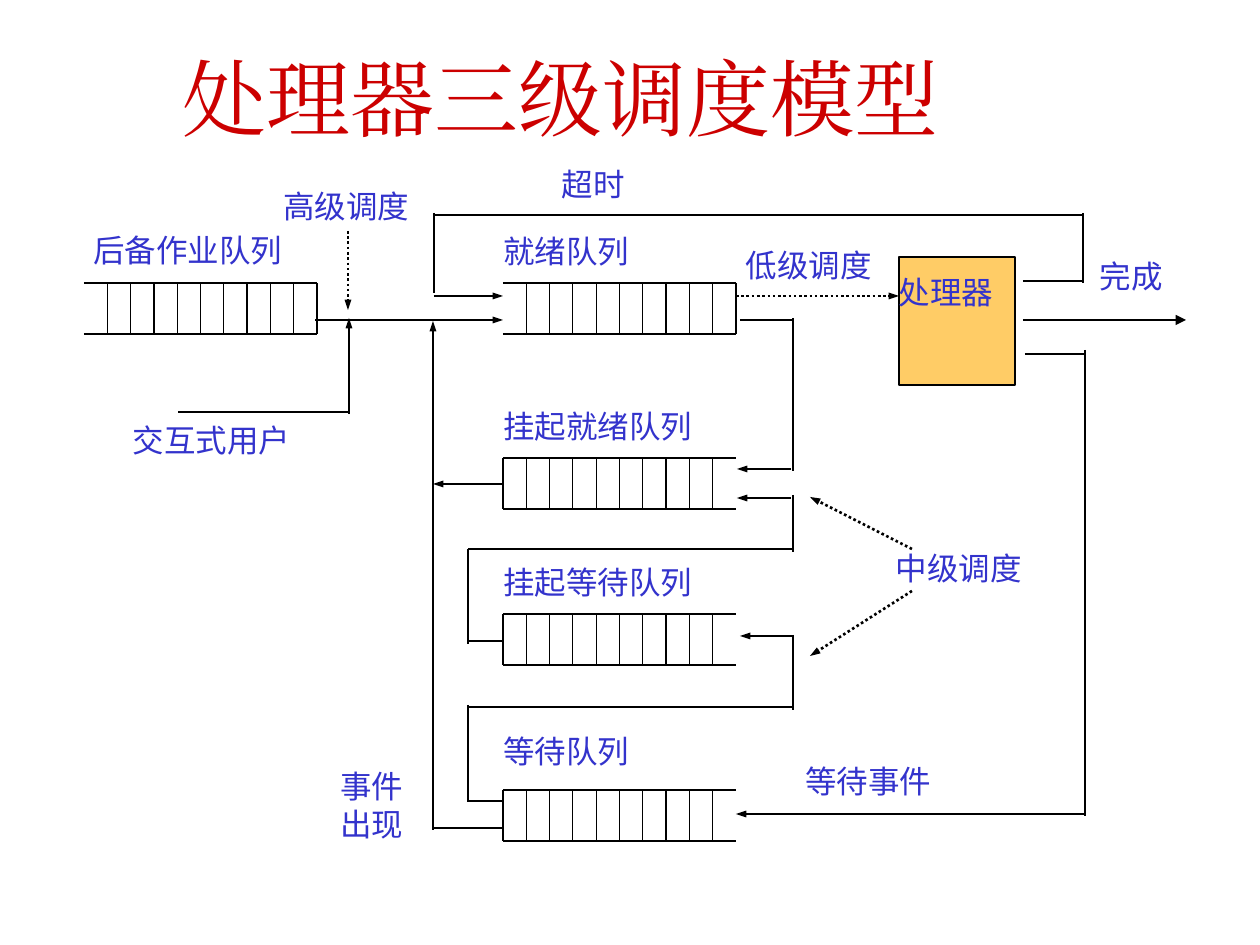
"""Builds a slide on the three-level processor scheduling model."""
from dataclasses import dataclass

from lxml.etree import SubElement
from pptx import Presentation
from pptx.dml.color import RGBColor as RGB
from pptx.enum.dml import MSO_LINE_DASH_STYLE as DASH
from pptx.enum.shapes import MSO_CONNECTOR as LINK, MSO_SHAPE as SHAPE
from pptx.enum.text import MSO_ANCHOR as ANCHOR, PP_ALIGN as ALIGN
from pptx.oxml.ns import qn
from pptx.util import Emu, Pt


@dataclass(frozen=True)
class Theme:
    title: RGB = RGB(0xCC, 0, 0)
    label: RGB = RGB(0x33, 0x33, 0xCC)
    ink: RGB = RGB(0, 0, 0)
    box: RGB = RGB(0xFF, 0xCC, 0x66)
    big: int = 48
    small: int = 18
    thick: float = 1.5
    thin: float = 0.75
    serif: str = "Times New Roman"
    sans: str = "Noto Sans CJK JP"


THEME = Theme()
SCALE = 914400 / 126
WIDE, HIGH, CELLS = 233, 51, 10

TITLE = ("处理器三级调度模型", 25, 18, 1071, 157)
CPU = ("处理器", 899, 257, 116, 128)
LABELS = [
    ("低级调度", 746, 246, 142, 38),
    ("高级调度", 283, 187, 135, 60),
    ("完成", 1100, 257, 86, 63),
    ("超时", 562, 165, 391, 50),
    ("就绪队列", 503, 232, 233, 51),
    ("挂起就绪队列", 503, 407, 233, 51),
    ("挂起等待队列", 503, 563, 233, 51),
    ("等待队列", 503, 732, 233, 51),
    ("等待事件", 805, 762, 209, 51),
    ("交互式用户", 133, 421, 163, 53),
    ("事件\n出现", 340, 767, 93, 102),
    ("后备作业队列", 93, 231, 222, 53),
    ("中级调度", 896, 549, 136, 53),
]
QUEUES = [
    (84, 283, "right"),
    (503, 283, "right"),
    (503, 458, "left"),
    (503, 614, "left"),
    (503, 790, "left"),
]
WIRES = [
    (1025, 354, 1085, 354), (1085, 350, 1085, 816),
    (433, 215, 1083, 215), (1023, 281, 1083, 281),
    (1083, 213, 1083, 283), (434, 213, 434, 293),
    (503, 828, 433, 828), (503, 641, 468, 641),
    (349, 412, 178, 412), (793, 318, 793, 471),
    (740, 320, 793, 320), (793, 549, 468, 549),
    (793, 495, 793, 552), (468, 549, 468, 644),
    (793, 635, 793, 710), (793, 707, 468, 707),
    (468, 705, 468, 802), (503, 801, 468, 801),
]
ARROWS = [
    (315, 320, 503, 320), (434, 296, 503, 296),
    (791, 469, 737, 469), (791, 498, 737, 498),
    (793, 636, 740, 636), (1085, 814, 736, 814),
    (433, 830, 433, 321), (503, 484, 433, 484),
    (349, 414, 349, 318),
]
EXIT = (1023, 320, 1186, 320)
DOTTED = [
    (736, 296, 899, 296), (348, 231, 348, 310),
    (912, 549, 810, 497), (912, 591, 810, 656),
]


def px(*nums):
    return [Emu(round(num * SCALE)) for num in nums]


def line(slide, ends, width=THEME.thick, head=None, dots=False):
    link = slide.shapes.add_connector(LINK.STRAIGHT, *px(*ends))
    link.line.color.rgb = THEME.ink
    link.line.width = Pt(width)
    if dots:
        link.line.dash_style = DASH.ROUND_DOT
    if head:
        SubElement(link.line._get_or_add_ln(), qn("a:tailEnd"),
                   type="triangle", w=head, len="med")
    SubElement(link._element.spPr, qn("a:effectLst"))


def queue(slide, left, top, side):
    right, base = left + WIDE, top + HIGH
    for y in (top, base):
        line(slide, (left, y, right, y))
    wall = right if side == "right" else left
    line(slide, (wall, top, wall, base))
    for i in range(1, CELLS):
        x = left + i * WIDE / CELLS
        line(slide, (x, top, x, base), THEME.thin)


def write(shape, text, size, color, font, pads=(0, 0, 0, 0)):
    frame = shape.text_frame
    frame.word_wrap = True
    (frame.margin_left, frame.margin_top,
     frame.margin_right, frame.margin_bottom) = px(*pads)
    frame.text = text
    for para in frame.paragraphs:
        para.alignment = ALIGN.LEFT
        for run in para.runs:
            run.font.size = Pt(size)
            run.font.color.rgb = color
            run.font.name = font
            SubElement(run.font._element, qn("a:ea"), typeface=font)
    return frame


def main():
    deck = Presentation()
    deck.slide_width, deck.slide_height = px(1260, 945)
    slide = deck.slides.add_slide(deck.slide_layouts[6])

    text, *area = TITLE
    head = slide.shapes.add_textbox(*px(*area))
    frame = write(head, text, THEME.big, THEME.title, THEME.serif, (13, 6, 13, 6))
    frame.vertical_anchor = ANCHOR.MIDDLE
    frame.paragraphs[0].alignment = ALIGN.CENTER

    for spot in QUEUES:
        queue(slide, *spot)

    text, *area = CPU
    box = slide.shapes.add_shape(SHAPE.RECTANGLE, *px(*area))
    box.shadow.inherit = False
    box.fill.solid()
    box.fill.fore_color.rgb = THEME.box
    box.line.color.rgb = THEME.ink
    box.line.width = Pt(THEME.thick)
    frame = write(box, text, THEME.small, THEME.label, THEME.sans, (0, 16, 0, 6))
    frame.vertical_anchor = ANCHOR.TOP

    for text, *area in LABELS:
        label = slide.shapes.add_textbox(*px(*area))
        write(label, text, THEME.small, THEME.label, THEME.sans)

    for ends in WIRES:
        line(slide, ends)
    for ends in ARROWS:
        line(slide, ends, head="sm")
    line(slide, EXIT, head="med")
    for ends in DOTTED:
        line(slide, ends, head="sm", dots=True)

    deck.save("out.pptx")


if __name__ == "__main__":
    main()
